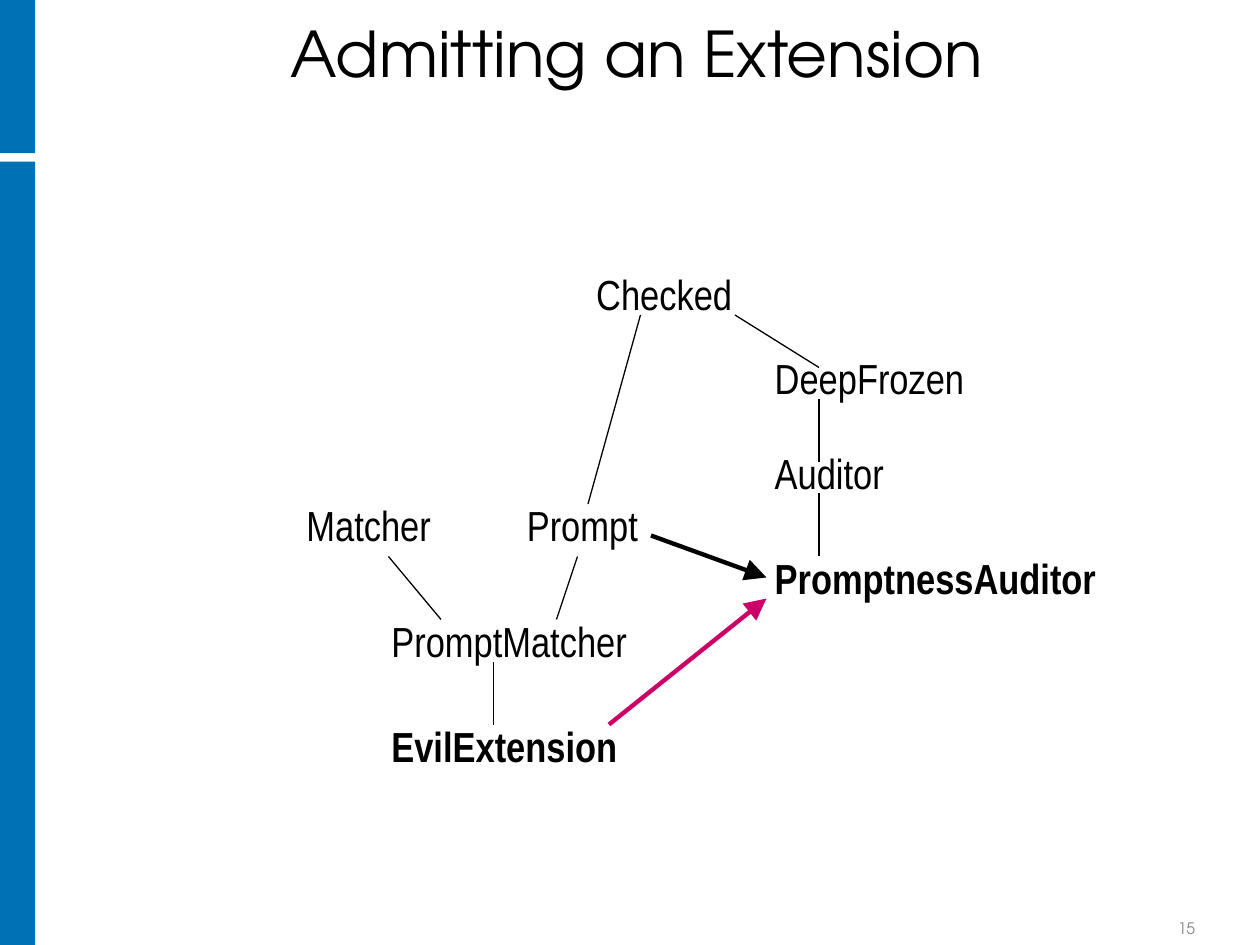
from dataclasses import dataclass

from lxml import etree
from pptx import Presentation
from pptx.dml.color import RGBColor
from pptx.enum.shapes import MSO_CONNECTOR, MSO_SHAPE
from pptx.enum.text import MSO_ANCHOR, MSO_AUTO_SIZE, PP_ALIGN
from pptx.oxml.ns import qn
from pptx.util import Inches, Pt

RECTANGLE = MSO_SHAPE.RECTANGLE
STRAIGHT = MSO_CONNECTOR.STRAIGHT
LEFT, CENTER = PP_ALIGN.LEFT, PP_ALIGN.CENTER
TOP, BOTTOM = MSO_ANCHOR.TOP, MSO_ANCHOR.BOTTOM
FIXED, GROW = MSO_AUTO_SIZE.NONE, MSO_AUTO_SIZE.SHAPE_TO_FIT_TEXT
TITLE_ONLY = 5
UNITS_PER_INCH = 12  # the diagram sits on a grid of 120 columns by 90 rows


@dataclass(frozen=True)
class Theme:
    ink: str = "000000"
    band: str = "0071B4"
    attack: str = "CC0066"
    muted: str = "848589"
    heading_font: str = "TeX Gyre Adventor"
    label_font: str = "Arial Narrow"
    title_size: float = 36
    label_size: float = 24
    number_size: float = 9
    edge_width: float = 0.75
    arrow_width: float = 2.5


THEME = Theme()

# text, column, row, width in columns, bold
GUARDS = [
    ("Checked", 55.6, 25, 15.4, False),
    ("Prompt", 49, 47, 13, False),
    ("PromptMatcher", 36.1, 58, 24.9, False),
    ("EvilExtension", 36.1, 68, 24, True),
    ("Matcher", 28, 47, 14.3, False),
    ("Auditor", 72.6, 42, 12.8, False),
    ("PromptnessAuditor", 72.6, 52, 33, True),
    ("DeepFrozen", 72.6, 33, 20.5, False),
]

# child (column, row), parent (column, row)
INHERITANCE = [
    ((47, 69), (47, 63)),
    ((53, 59), (55, 53)),
    ((42, 59), (37, 53)),
    ((78, 53), (78, 47)),
    ((78, 44), (78, 38)),
    ((78, 35), (70, 30)),
    ((56, 48), (61, 30)),
]

AUDIT_REQUESTS = [
    ((62, 51), (73, 55), THEME.ink),
    ((58, 69), (73, 57), THEME.attack),
]


def grid(units):
    return Inches(units / UNITS_PER_INCH)


def place(shape, column, row, width, height):
    shape.left, shape.top = grid(column), grid(row)
    shape.width, shape.height = grid(width), grid(height)


def write(shape, text, *, font, size, color=THEME.ink, bold=False,
          align=LEFT, anchor=TOP, wrap=True, fit=FIXED, spacing=None):
    frame = shape.text_frame
    frame.word_wrap = wrap
    frame.auto_size = fit
    frame.vertical_anchor = anchor
    paragraph = frame.paragraphs[0]
    paragraph.alignment = align
    paragraph.line_spacing = spacing
    run = paragraph.add_run()
    run.text = text
    run.font.name, run.font.size, run.font.bold = font, Pt(size), bold
    run.font.color.rgb = RGBColor.from_string(color)


def add_label(slide, text, column, row, width, height=6, **style):
    box = slide.shapes.add_textbox(*map(grid, (column, row, width, height)))
    write(box, text, **style)


def add_band(slide, row, height):
    band = slide.shapes.add_shape(
        RECTANGLE, *map(grid, (0, row, 3.36, height)))
    band.shadow.inherit = False
    band.fill.solid()
    band.fill.fore_color.rgb = RGBColor.from_string(THEME.band)
    band.line.fill.background()


def add_line(slide, start, end, color=THEME.ink, width=THEME.edge_width,
             arrow=False):
    line = slide.shapes.add_connector(STRAIGHT, *map(grid, start + end))
    line.line.color.rgb = RGBColor.from_string(color)
    line.line.width = Pt(width)
    properties = line._element.spPr
    if arrow:
        etree.SubElement(properties.find(qn("a:ln")), qn("a:tailEnd"),
                         type="triangle", w="lg", len="lg")
    etree.SubElement(properties, qn("a:effectLst"))


def main():
    presentation = Presentation()
    presentation.slide_width, presentation.slide_height = grid(120), grid(90)
    slide = presentation.slides.add_slide(
        presentation.slide_layouts[TITLE_ONLY])

    add_band(slide, row=0, height=14.6)
    add_band(slide, row=15.4, height=74.6)

    for text, column, row, width, bold in GUARDS:
        add_label(slide, text, column, row, width, font=THEME.label_font,
                  size=THEME.label_size, bold=bold, wrap=False, fit=GROW)
    for child, parent in INHERITANCE:
        add_line(slide, child, parent)
    for start, end, color in AUDIT_REQUESTS:
        add_line(slide, start, end, color, THEME.arrow_width, arrow=True)

    title = slide.shapes.title
    place(title, 15.6, 1.6, 90.1, 15)
    write(title, "Admitting an Extension", font=THEME.heading_font,
          size=THEME.title_size, align=CENTER, spacing=0.9)
    add_label(slide, "15", 108, 87, 10, 2.9, font=THEME.heading_font,
              size=THEME.number_size, color=THEME.muted,
              align=CENTER, anchor=BOTTOM)

    presentation.save("out.pptx")


if __name__ == "__main__":
    main()
